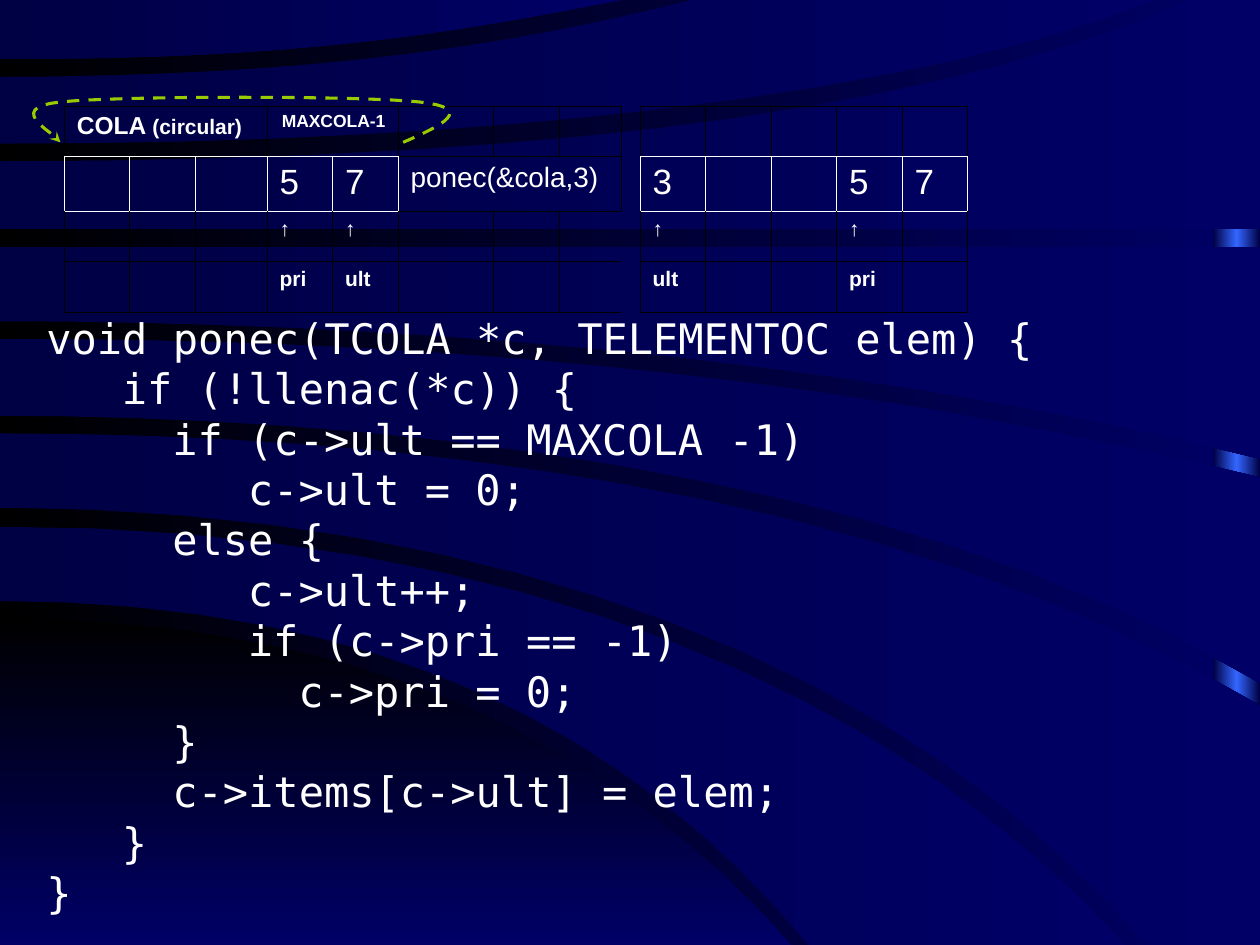
from copy import deepcopy

from lxml import etree
from pptx import Presentation
from pptx.dml.color import RGBColor
from pptx.enum.dml import MSO_LINE
from pptx.enum.shapes import MSO_SHAPE
from pptx.enum.text import PP_ALIGN
from pptx.oxml import parse_xml
from pptx.oxml.ns import nsdecls, qn
from pptx.util import Inches, Pt

RECT = MSO_SHAPE.RECTANGLE
DASH = MSO_LINE.DASH
RIGHT = PP_ALIGN.RIGHT

COLORS = {
    "black": "000000", "navy": "000044", "blue": "000066",
    "glow": "3366FF", "white": "FFFFFF", "green": "99CC00",
}
RGB = {name: RGBColor.from_string(code) for name, code in COLORS.items()}
NO_GRID = "{2D5ABB26-0587-4C30-8999-92F81FD0307C}"
STEPS = 16


def shade(fill, first, last, angle=0):
    """Fill with a two-colour gradient."""
    fill.gradient()
    fill.gradient_angle = angle
    for stop, name, place in zip(fill.gradient_stops, (first, last), (0, 1)):
        stop.color.rgb = RGB[name]
        stop.position = place


def outline(curves, close=True):
    """Join cubic Bezier curves, each of four points in inches."""
    spots = []
    for curve in curves:
        for step in range(STEPS + 1):
            t = step / STEPS
            parts = (1 - t) ** 3, 3 * t * (1 - t) ** 2, 3 * t * t * (1 - t), t ** 3
            spots.append([Inches(sum(k * v for k, v in zip(parts, axis)))
                          for axis in zip(*curve)])
    pen = slide.shapes.build_freeform(*spots[0])
    pen.add_line_segments(spots[1:], close=close)
    shape = pen.convert_to_shape()
    shape.shadow.inherit = False
    return shape


prs = Presentation()
prs.slide_width, prs.slide_height = Inches(10), Inches(7.5)
slide = prs.slides.add_slide(prs.slide_layouts[6])
shade(slide.background.fill, "black", "blue")

# Glowing strip at the right edge, seen between the bands
strip = slide.shapes.add_shape(RECT, Inches(9.63), 0, Inches(0.37), Inches(7.5))
strip.shadow.inherit = False
strip.line.fill.background()
shade(strip.fill, "navy", "navy")
stops = strip._element.spPr.find(qn("a:gradFill")).find(qn("a:gsLst"))
stops.insert(1, deepcopy(stops[0]))
middle = strip.fill.gradient_stops[1]
middle.position = 0.5
middle.color.rgb = RGB["glow"]

# Curved background: upper edge, lower edge, corner between their right ends.
# Every edge leaves the left side level.
bands = [
    ([(0, 4.91), (2.79, 4.91), (4.88, 5.88), (6.28, 7.5)], [(0, 7.5)] * 4, None),
    ([(0, 4.18), (4.08, 4.18), (7.13, 5.5), (8.93, 7.5)],
     [(0, 4.77), (3, 4.77), (5.02, 5.8), (6.42, 7.5)], None),
    ([(0, 3.44), (2.87, 3.44), (7, 3.8), (10, 5.6)],
     [(0, 4.03), (3.95, 4.03), (7.29, 5.32), (9.09, 7.5)], (10, 7.5)),
    ([(0, 2.69), (3.05, 2.69), (6.5, 2.92), (10, 3.79)],
     [(0, 3.3), (2.65, 3.3), (7, 3.62), (10, 5.42)], None),
    ([(0, 1.96)] * 4, [(0, 2.55), (2.83, 2.55), (6.5, 2.77), (10, 3.64)], (10, 1.96)),
    ([(0, 1.28), (4.77, 1.28), (7.63, 0.8), (9.43, 0)],
     [(0, 1.82)] * 3 + [(10, 1.82)], (10, 0)),
    ([(0, 0.61), (2.43, 0.61), (4, 0.38), (5.5, 0)],
     [(0, 1.14), (3.91, 1.14), (7.3, 0.75), (9.17, 0)], None),
    ([(0, 0)] * 4, [(0, 0.47), (2.33, 0.47), (3.5, 0.28), (4.92, 0)], None),
]
for order, (upper, lower, corner) in enumerate(bands):
    turn = [[corner] * 4] if corner else []
    band = outline([upper, *turn, lower[::-1]])
    if order == 0:
        shade(band.fill, "black", "blue", 270)
    else:
        shade(band.fill, "navy", "blue")
    band.line.fill.background()

# Code, each line with its depth in characters
code = [
    (0, "void ponec(TCOLA *c, TELEMENTOC elem) {"), (3, "if (!llenac(*c)) {"),
    (5, "if (c->ult == MAXCOLA -1)"), (8, "c->ult = 0;"), (5, "else {"),
    (8, "c->ult++;"), (8, "if (c->pri == -1)"), (10, "c->pri = 0;"),
    (5, "}"), (5, "c->items[c->ult] = elem;"), (3, "}"), (0, "}"),
]
box = slide.shapes.add_textbox(Inches(0.27), Inches(2.43), Inches(9.37), Inches(4.9))
frame = box.text_frame
frame.word_wrap = True
for row, (depth, text) in enumerate(code):
    para = frame.paragraphs[0] if row == 0 else frame.add_paragraph()
    para.text = text
    para.font.name, para.font.size = "DejaVu Sans Mono", Pt(24)
    para.font.color.rgb = RGB["white"]
    para._p.get_or_add_pPr().set("marL", str(Inches(0.2 * depth)))

# Queue before and after the call: left, first row, columns, merges, texts.
# A text is keyed by row and column and holds (words, size, bold).
UP = ("↑", 12, False)
PRI, ULT = ("pri", 12, True), ("ult", 12, True)
THREE, FIVE, SEVEN = [(digit, 20, False) for digit in "357"]
queues = [
    (0.51, 0.33, [0.52, 0.52, 0.57, 0.52, 0.52, 0.76, 0.52, 0.49],
     [(0, 0, 2), (0, 3, 4), (1, 5, 7)],
     {(0, 0): ("COLA ", 14, True), (0, 3): ("MAXCOLA-1", 10, True),
      (1, 3): FIVE, (1, 4): SEVEN, (1, 5): ("ponec(&cola,3)", 16, False),
      (2, 3): UP, (2, 4): UP, (3, 3): PRI, (3, 4): ULT}),
    (5.08, 0.27, [0.52] * 5, [],
     {(1, 0): THREE, (1, 3): FIVE, (1, 4): SEVEN,
      (2, 0): UP, (2, 3): UP, (3, 0): ULT, (3, 3): PRI}),
]
for left, first, cols, merges, texts in queues:
    rows = [first, 0.43, 0.3, 0.3]
    grid = slide.shapes.add_table(4, len(cols), Inches(left), Inches(0.84),
                                  Inches(sum(cols)), Inches(sum(rows))).table
    grid.first_row = grid.horz_banding = False
    grid._tbl.tblPr.find(qn("a:tableStyleId")).text = NO_GRID
    for col, width in zip(grid.columns, cols):
        col.width = Inches(width)
    for row, height in zip(grid.rows, rows):
        row.height = Inches(height)
    for row, start, end in merges:
        grid.cell(row, start).merge(grid.cell(row, end))
    for r in range(4):
        for c in range(len(cols)):
            cell = grid.cell(r, c)
            bright = ("B", "LRTB", "T", "")[r] if c < 5 else ""
            if (r, c) == (1, 5):
                bright = "L"
            for side in "LRTB":
                if c == 7 and side == "R":
                    continue
                name, width = ("white", 0.45) if side in bright else ("black", 0.34)
                cell._tc.get_or_add_tcPr().append(parse_xml(
                    f'<a:ln{side} {nsdecls("a")} w="{Pt(width)}"><a:solidFill>'
                    f'<a:srgbClr val="{COLORS[name]}"/></a:solidFill></a:ln{side}>'))
            cell.fill.background()
            if (r, c) in texts:
                words, size, bold = texts[r, c]
                para = cell.text_frame.paragraphs[0]
                para.text = words
                para.font.name, para.font.size, para.font.bold = "Arial", Pt(size), bold
                para.font.color.rgb = RGB["white"]
                if words == "MAXCOLA-1":
                    para.alignment = RIGHT
                elif words == "COLA ":
                    note = para.add_run()
                    note.text, note.font.size = "(circular)", Pt(12)

# Dashed arrow from the last place back to the first
loop = outline([
    [(3.2, 1.13), (3.5, 1), (3.79, 0.86), (3.33, 0.81)],
    [(3.33, 0.81), (2.88, 0.76), (0.95, 0.76), (0.48, 0.81)],
    [(0.48, 0.81), (0, 0.86), (0.48, 1.08), (0.48, 1.13)],
], close=False)
loop.fill.background()
loop.line.color.rgb = RGB["green"]
loop.line.width, loop.line.dash_style = Pt(1.75), DASH
etree.SubElement(loop.line._get_or_add_ln(), qn("a:tailEnd"), type="stealth")

prs.save("out.pptx")
